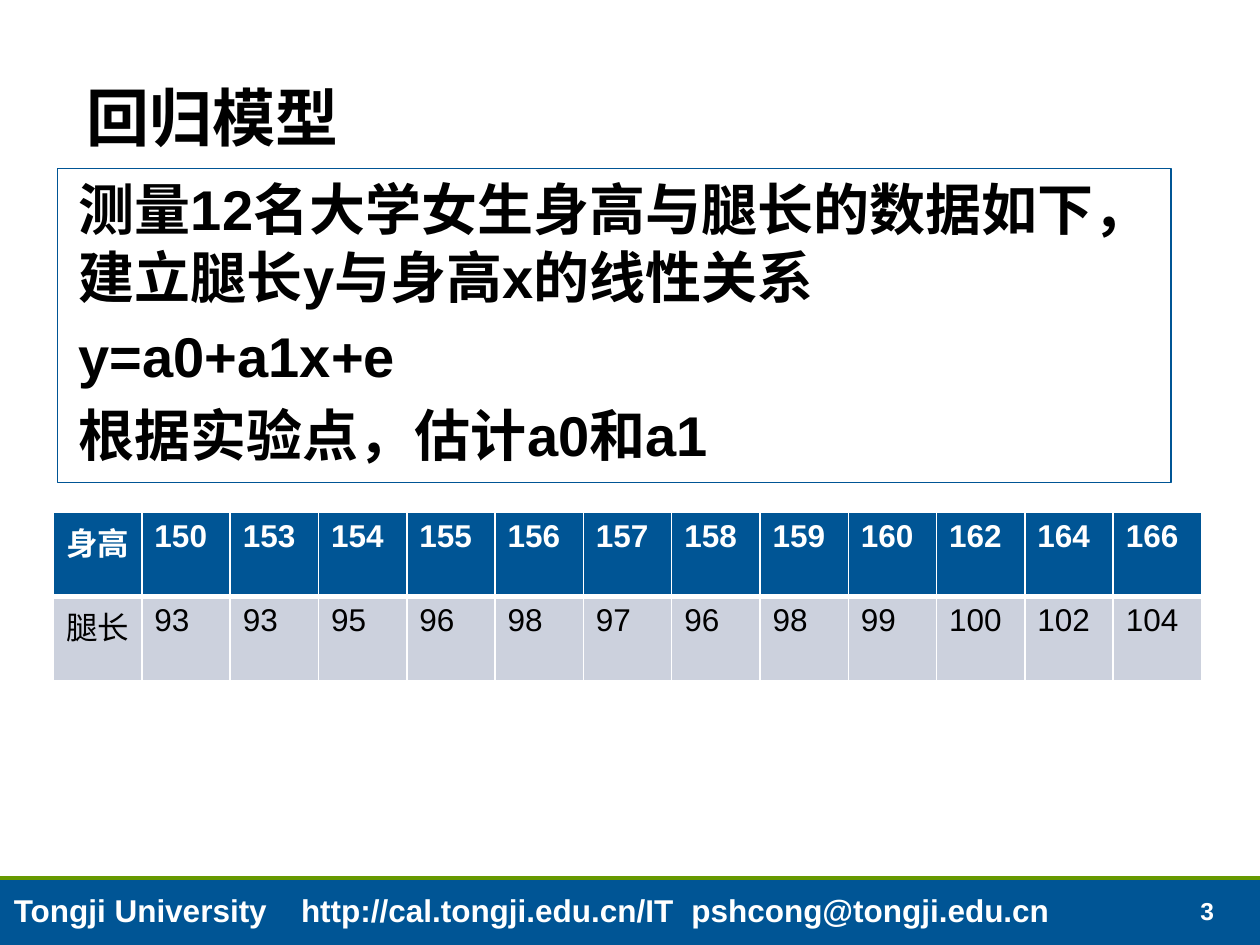
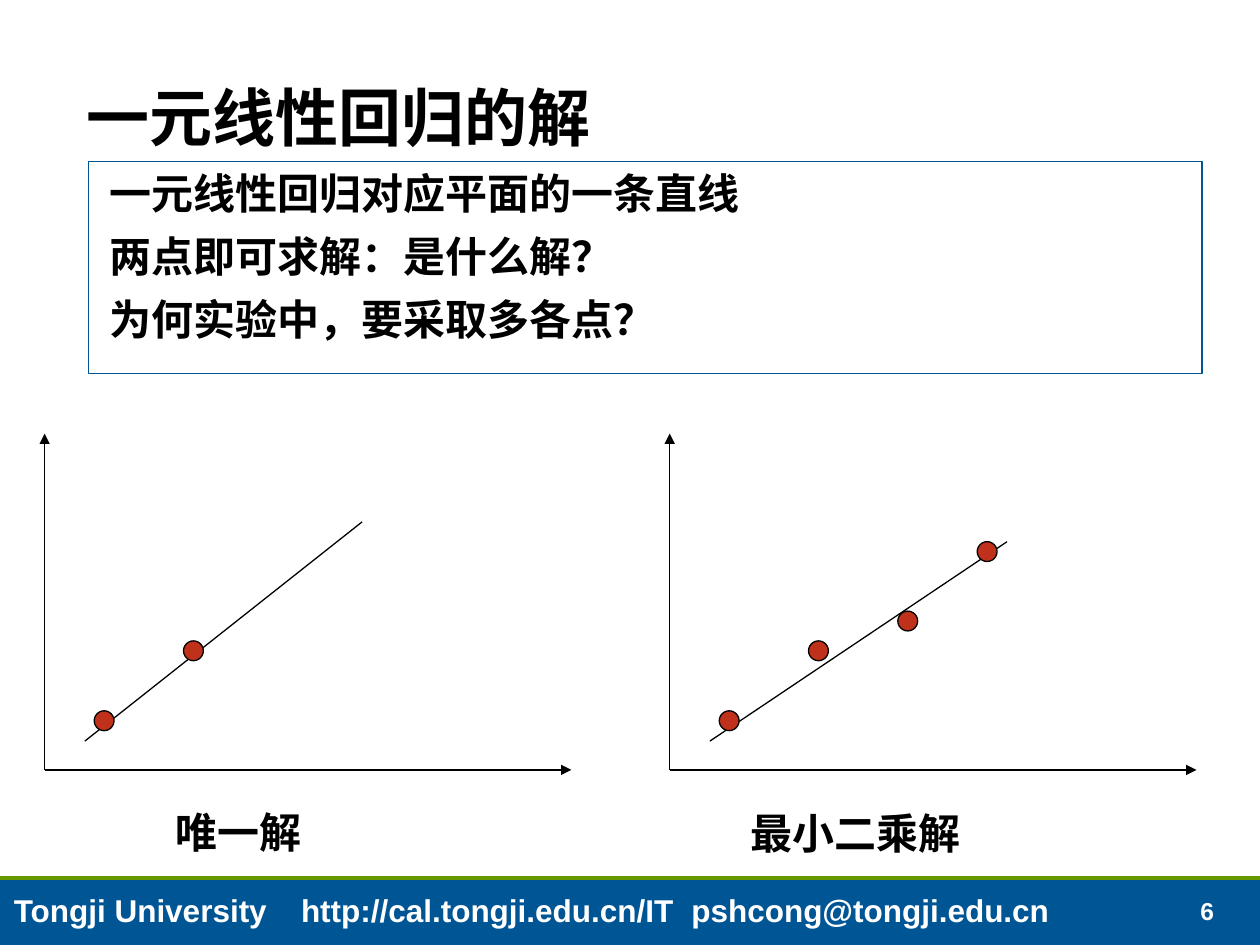
from dataclasses import dataclass

from lxml.etree import SubElement
from pptx import Presentation
from pptx.dml.color import RGBColor
from pptx.enum.shapes import MSO_CONNECTOR as LINE, MSO_SHAPE as SHAPE
from pptx.enum.text import MSO_ANCHOR as ANCHOR, MSO_AUTO_SIZE as FIT, PP_ALIGN as ALIGN
from pptx.oxml.ns import qn
from pptx.util import Cm, Pt

WIDTH, HEIGHT = 25.4, 19.05
TITLE_ONLY = 5
FOOTER = "Tongji University\thttp://cal.tongji.edu.cn/IT\tpshcong@tongji.edu.cn"
FOOTER_TABS = (5.79, 13.66)
HEIGHTS = [150, 153, 154, 155, 156, 157, 158, 159, 160, 162, 164, 166]
LEG_LENGTHS = [93, 93, 95, 96, 98, 97, 96, 98, 99, 100, 102, 104]


@dataclass(frozen=True)
class Theme:
    font: str = "Arial"
    blue: str = "005595"
    green: str = "669900"
    red: str = "BF311A"
    black: str = "000000"
    white: str = "FFFFFF"
    pale: str = "CCD1DD"
    title: int = 36
    large: int = 32
    body: int = 24
    small: int = 18
    number: int = 14
    hairline: float = 0.75
    rule: float = 2
    cell_line: float = 1
    header_line: float = 3


def rgb(code):
    return RGBColor.from_string(code)


def apply(target, **values):
    for name, value in values.items():
        setattr(target, name, value)


class Deck:
    def __init__(self, theme):
        self.theme = theme
        self.prs = Presentation()
        apply(self.prs, slide_width=Cm(WIDTH), slide_height=Cm(HEIGHT))
        self.slide = None

    def new_slide(self, title, number):
        t = self.theme
        self.slide = self.prs.slides.add_slide(self.prs.slide_layouts[TITLE_ONLY])
        self.footer(number)
        sp = self.slide.shapes.title
        apply(sp, left=Cm(1.5), top=Cm(0.74), width=Cm(22.1), height=Cm(2.54))
        self.set_text(sp, [title], t.title, anchor=ANCHOR.BOTTOM, line_spacing=0.95)

    def footer(self, number):
        t = self.theme
        self.shape(SHAPE.RECTANGLE, 0, 17.7, WIDTH, HEIGHT - 17.7, t.blue)
        self.line((0, 17.7), (WIDTH, 17.7), t.green, t.rule)
        self.label([str(number)], 23.95, 17.93, 1.35, 0.86, t.number,
                   color=t.white, anchor=ANCHOR.BOTTOM)
        sp = self.label([FOOTER], 0.03, 17.83, 23.5, 1.02, t.small, color=t.white)
        pPr = sp.text_frame.paragraphs[0]._p.get_or_add_pPr()
        tabs = SubElement(pPr, qn("a:tabLst"))
        for pos in FOOTER_TABS:
            SubElement(tabs, qn("a:tab"), pos=str(Cm(pos)), algn="l")

    def set_font(self, r, size, color, bold=True):
        apply(r.font, name=self.theme.font, size=Pt(size), bold=bold)
        r.font.color.rgb = rgb(color)

    def set_text(self, sp, lines, size, color=None, anchor=ANCHOR.TOP,
                 margin_left=0.25, **spacing):
        tf = sp.text_frame
        apply(tf, word_wrap=True, auto_size=FIT.NONE, vertical_anchor=anchor,
              margin_left=Cm(margin_left))
        for i, text in enumerate(lines):
            p = tf.add_paragraph() if i else tf.paragraphs[0]
            apply(p, text=text, alignment=ALIGN.LEFT, **spacing)
            for r in p.runs:
                self.set_font(r, size, color or self.theme.black)

    def label(self, lines, left, top, width, height, size, **style):
        sp = self.slide.shapes.add_textbox(Cm(left), Cm(top), Cm(width), Cm(height))
        self.set_text(sp, lines, size, **style)
        return sp

    def shape(self, kind, left, top, width, height, fill, line=None):
        sp = self.slide.shapes.add_shape(kind, Cm(left), Cm(top), Cm(width), Cm(height))
        sp.shadow.inherit = False
        sp.fill.solid()
        sp.fill.fore_color.rgb = rgb(fill)
        if line:
            sp.line.color.rgb = rgb(line)
            sp.line.width = Pt(self.theme.hairline)
        else:
            sp.line.fill.background()
        return sp

    def panel(self, lines, left, top, width, height, size, line=None):
        sp = self.shape(SHAPE.RECTANGLE, left, top, width, height, self.theme.white, line)
        self.set_text(sp, lines, size, margin_left=0.43, space_before=Pt(7))

    def line(self, start, end, color=None, width=None, arrow=False):
        x1, y1, x2, y2 = (Cm(v) for v in (*start, *end))
        cxn = self.slide.shapes.add_connector(LINE.STRAIGHT, x1, y1, x2, y2)
        cxn.line.color.rgb = rgb(color or self.theme.black)
        cxn.line.width = Pt(width or self.theme.hairline)
        spPr = cxn._element.spPr
        if arrow:
            SubElement(spPr.find(qn("a:ln")), qn("a:tailEnd"), type="triangle")
        SubElement(spPr, qn("a:effectLst"))

    def table(self, rows, left, top, col_width, row_height):
        n = len(rows[0])
        table = self.slide.shapes.add_table(
            len(rows), n, Cm(left), Cm(top), Cm(col_width * n),
            Cm(row_height * len(rows))).table
        table.horz_banding = False
        for i, row in enumerate(rows):
            for j, value in enumerate(row):
                self.cell(table.cell(i, j), value, header=i == 0)

    def cell(self, cell, value, header):
        t = self.theme
        cell.text = str(value)
        for r in cell.text_frame.paragraphs[0].runs:
            self.set_font(r, t.small, t.white if header else t.black, header)
        thick_side = "B" if header else "T"
        for side in "LRTB":
            width = t.header_line if side == thick_side else t.cell_line
            ln = SubElement(cell._tc.get_or_add_tcPr(), qn(f"a:ln{side}"), w=str(Pt(width)))
            SubElement(SubElement(ln, qn("a:solidFill")), qn("a:srgbClr"), val=t.white)
        cell.fill.solid()
        cell.fill.fore_color.rgb = rgb(t.blue if header else t.pale)

    def sketch(self, left, fit_end, dots):
        """Axes, fitted line and dots; x counts from the vertical axis."""
        t = self.theme
        origin = (left, 15.52)
        self.line(origin, (left + 10.62, 15.52), arrow=True)
        self.line(origin, (left, 8.74), arrow=True)
        self.line((left + 0.81, 14.94), (left + fit_end[0], fit_end[1]))
        for x, y in dots:
            self.shape(SHAPE.OVAL, left + x, y, 0.4, 0.4, t.red, t.black)


def regression_model(deck):
    t = deck.theme
    deck.new_slide("回归模型", 3)
    deck.panel(["测量12名大学女生身高与腿长的数据如下，建立腿长y与身高x的线性关系",
                "y=a0+a1x+e",
                "根据实验点，估计a0和a1"],
               1.16, 3.4, 22.45, 6.33, t.large, t.blue)
    deck.table([["身高", *HEIGHTS], ["腿长", *LEG_LENGTHS]], 1.08, 10.33, 1.78, 1.7)


def regression_solution(deck):
    t = deck.theme
    deck.new_slide("一元线性回归的解", 6)
    deck.panel(["一元线性回归对应平面的一条直线",
                "两点即可求解：是什么解？",
                "为何实验中，要采取多各点？"],
               1.78, 3.26, 22.45, 4.27, t.body, t.blue)
    dots = [(1.0, 14.33), (2.8, 12.92), (4.6, 12.32), (6.2, 10.92)]
    deck.sketch(13.5, (6.8, 10.92), dots)
    deck.sketch(0.9, (6.4, 10.52), dots[:2])
    deck.panel(["唯一解"], 3.1, 16.13, 4.8, 1.17, t.body)
    deck.panel(["最小二乘解"], 14.71, 16.15, 6.6, 1.17, t.body)


def main():
    deck = Deck(Theme())
    regression_model(deck)
    regression_solution(deck)
    deck.prs.save("out.pptx")


if __name__ == "__main__":
    main()
